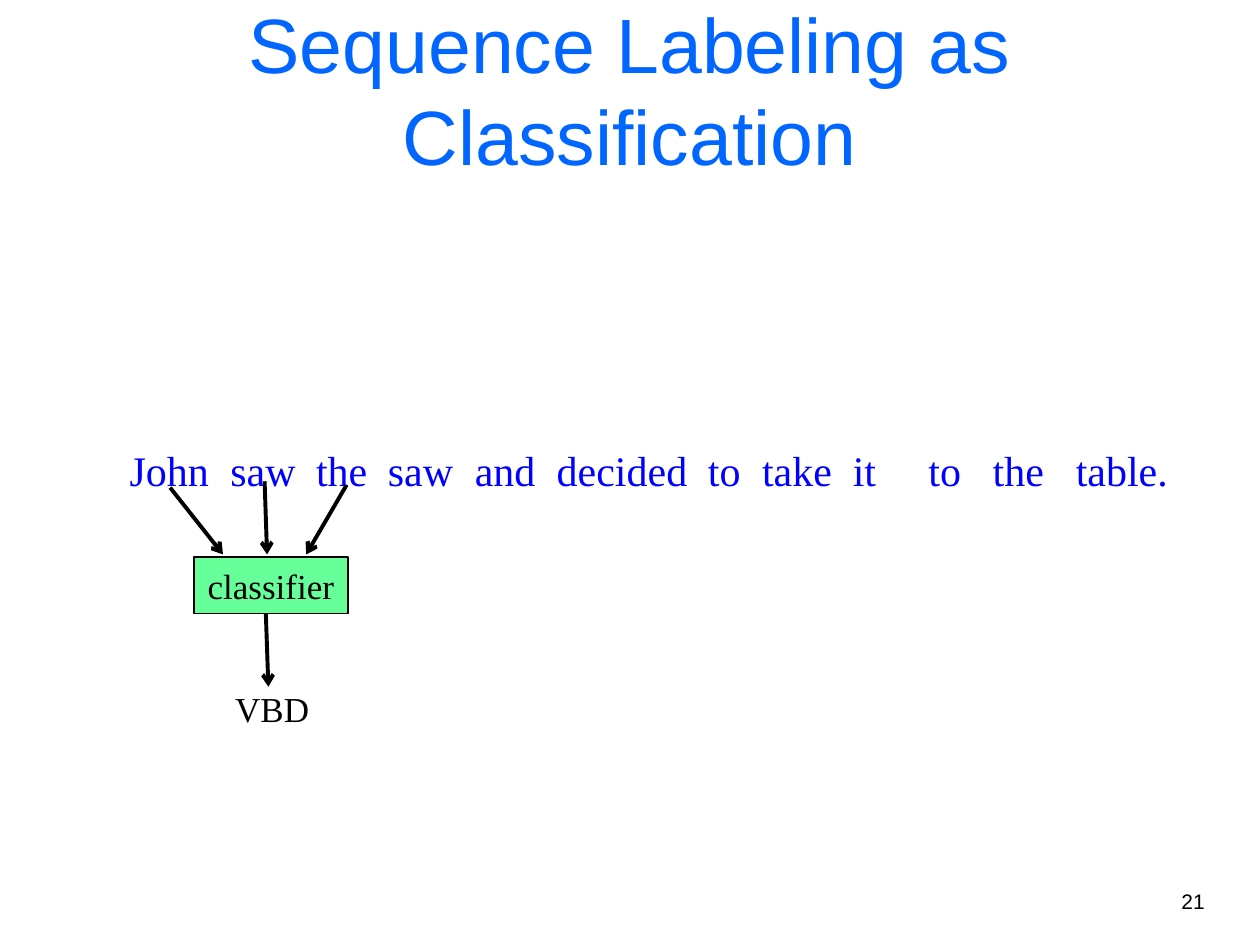
import pptx
import pptx.util
import pptx.dml.color
import pptx.enum.shapes
import pptx.enum.text
import pptx.oxml
import pptx.oxml.ns
import lxml.etree

Inches = pptx.util.Inches
Pt = pptx.util.Pt
ALIGN = pptx.enum.text.PP_ALIGN
ANCHOR = pptx.enum.text.MSO_ANCHOR
qn = pptx.oxml.ns.qn
SERIF = "Times New Roman"
COLORS = {"title": "0066FF", "words": "0000FF", "ink": "000000", "box": "66FF99"}


def rgb(name):
    return pptx.dml.color.RGBColor.from_string(COLORS[name])


def write(shape, text, size=20, font=SERIF, color="ink", align=ALIGN.CENTER,
          anchor=ANCHOR.TOP, wrap=True, tabs=()):
    """Fill a shape with one formatted paragraph; tabs are stops in inches."""
    frame = shape.text_frame
    frame.word_wrap = wrap
    frame.vertical_anchor = anchor
    para = frame.paragraphs[0]
    para.text = text
    para.alignment = align
    if tabs:
        stops = lxml.etree.SubElement(para._p.get_or_add_pPr(), qn("a:tabLst"))
        for stop in tabs:
            lxml.etree.SubElement(stops, qn("a:tab"), pos=str(Inches(stop)), algn="l")
    para.font.size = Pt(size)
    para.font.name = font
    para.font.color.rgb = rgb(color)


deck = pptx.Presentation()
deck.slide_width, deck.slide_height = Inches(10), Inches(7.5)
slide = deck.slides.add_slide(deck.slide_layouts[6])
shapes = slide.shapes

# Title, page number, sentence and predicted tag
words = "John saw the saw and decided to take it to the table.".split()
starts = [0.8, 1.48, 2.05, 2.74, 3.39, 4.59, 5.02, 5.74, 6.34, 6.85, 7.51]
texts = [
    ((7.58, 7, 2.08, 0.5), "21", dict(size=12, font="Arial", align=ALIGN.RIGHT)),
    ((0.75, 0.08, 8.5, 1.25), "Sequence Labeling as Classification",
     dict(size=44, font="Arial", color="title", anchor=ANCHOR.MIDDLE)),
    ((0.93, 3.48, 8.55, 0.5), "\t".join(words),
     dict(size=24, color="words", align=ALIGN.LEFT, tabs=starts)),
    ((1.74, 5.41, 0.84, 0.43), "VBD", dict(wrap=False)),
]
for place, text, style in texts:
    write(shapes.add_textbox(*map(Inches, place)), text, **style)

# Classifier
box = shapes.add_shape(pptx.enum.shapes.MSO_SHAPE.RECTANGLE,
                       *map(Inches, (1.54, 4.42, 1.22, 0.45)))
box.shadow.inherit = False
box.fill.solid()
box.fill.fore_color.rgb = rgb("box")
box.line.color.rgb = rgb("ink")
box.line.width = Pt(1)
write(box, "classifier", anchor=ANCHOR.MIDDLE, wrap=False)

# Three words feed the classifier, which gives the tag
arrows = [(1.35, 3.87, 1.77, 4.4), (2.1, 3.82, 2.12, 4.4),
          (2.75, 3.85, 2.43, 4.4), (2.11, 4.87, 2.13, 5.45)]
for ends in arrows:
    arrow = shapes.add_connector(pptx.enum.shapes.MSO_CONNECTOR.STRAIGHT,
                                 *map(Inches, ends))
    arrow.line.color.rgb = rgb("ink")
    arrow.line.width = Pt(2.25)
    lxml.etree.SubElement(arrow.line._get_or_add_ln(), qn("a:tailEnd"), type="arrow")
    lxml.etree.SubElement(arrow._element.spPr, qn("a:effectLst"))

deck.save("out.pptx")
